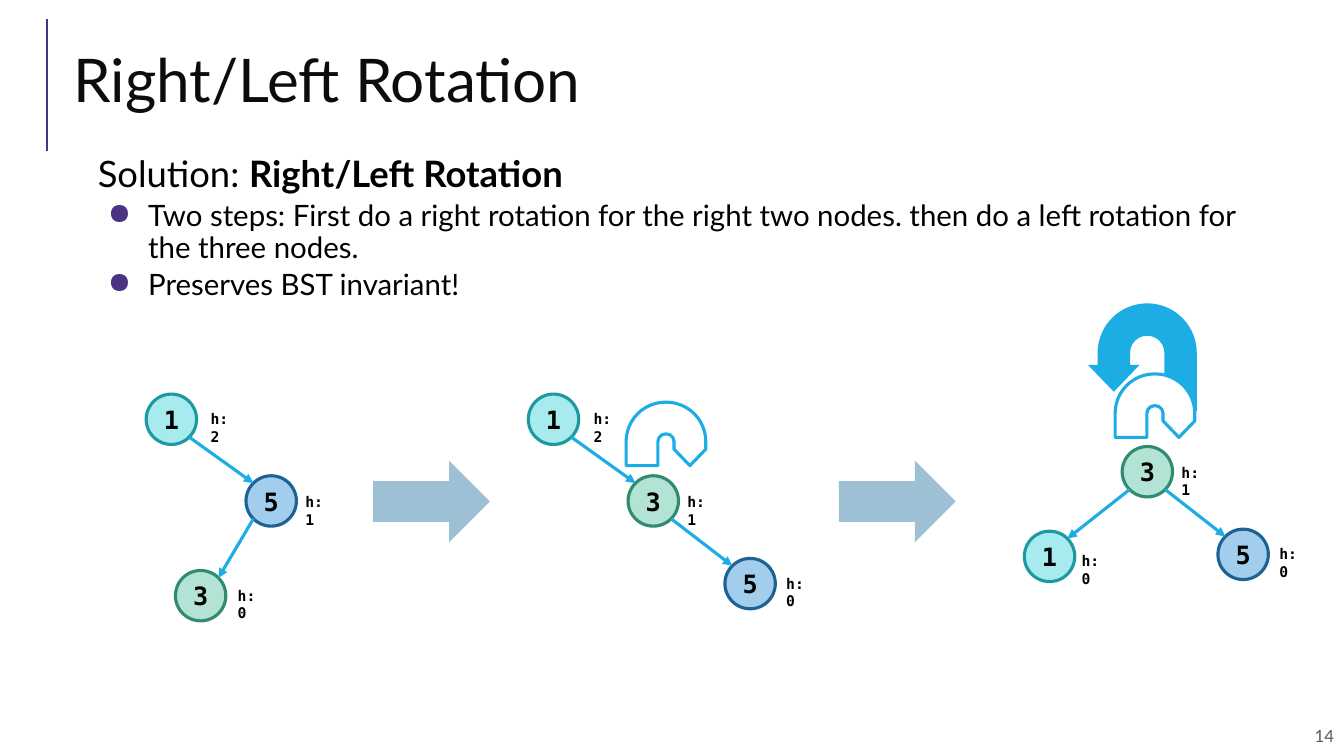
"""Build the Right/Left Rotation slide for a binary search tree."""
import pptx
import pptx.dml.color
import pptx.enum.shapes
import pptx.enum.text
import pptx.oxml.ns
import pptx.oxml.xmlchemy
import pptx.util
from pptx.util import Inches

SHAPE = pptx.enum.shapes.MSO_SHAPE
ALIGN = pptx.enum.text.PP_ALIGN
ANCHOR = pptx.enum.text.MSO_ANCHOR
AUTOSIZE = pptx.enum.text.MSO_AUTO_SIZE
SANS, MONO = "Lato", "DejaVu Sans Mono"
PURPLE, BLUE, STEEL, WHITE, BLACK = "4C3282", "1CADE4", "9EC0D5", "FFFFFF", "000000"

TITLE = "Right/Left Rotation"
LEAD = [("Solution: ", False), ("Right/Left Rotation", True)]
POINTS = [
    "Two steps: First do a right rotation for the right two nodes. then do a left rotation for the three nodes.",
    "Preserves BST invariant!",
]
PAGE = "14"
DIAMETER = 0.5
NODE_COLORS = {"1": ("A7EBEF", "1D9AA1"), "3": ("B2E3D5", "318B71"), "5": ("A2CDED", "1C6294")}

# Each node: left, top, height label, label left, label top
TREES = [
    {"nodes": {"1": (1.45, 3.91, "h:2", 1.99, 4.02),
               "5": (2.44, 4.72, "h:1", 2.93, 4.84),
               "3": (1.74, 5.66, "h:0", 2.26, 5.77)},
     "edges": ["15", "53"]},
    {"nodes": {"1": (5.24, 3.91, "h:2", 5.79, 4.02),
               "3": (6.23, 4.72, "h:1", 6.72, 4.84),
               "5": (7.19, 5.54, "h:0", 7.7, 5.65)},
     "edges": ["13", "35"]},
    {"nodes": {"3": (11.13, 4.43, "h:1", 11.62, 4.55),
               "1": (10.16, 5.27, "h:0", 10.63, 5.43),
               "5": (12.08, 5.25, "h:0", 12.59, 5.36)},
     "edges": ["31", "35"]},
]
STEP_ARROWS = [3.7, 8.32]
LEFT_TURN = (10.79, 3.01, 1.08, 1.07)
LEFT_TURN_BEND = (0.3, 0.24, 0.25, 0.48, 0.82)
RIGHT_TURNS = [(11.06, 3.71, 0.79, 0.63), (6.21, 3.99, 0.79, 0.63)]
RIGHT_TURN_BEND = (0.5, 0.25, 0.26, 0.62, 1)


def rgb(value):
    return pptx.dml.color.RGBColor.from_string(value)


def assign(target, values):
    for name, value in values.items():
        setattr(target, name, value)


def make_element(tag, **attributes):
    element = pptx.oxml.xmlchemy.OxmlElement(tag)
    for name, value in attributes.items():
        element.set(name, value)
    return element


def style_font(font, size, face, color=BLACK, bold=False):
    assign(font, {"size": pptx.util.Pt(size), "name": face, "bold": bold})
    font.color.rgb = rgb(color)


def style_frame(frame, insets, anchor=ANCHOR.TOP):
    across, down = map(Inches, insets)
    assign(frame, {"margin_left": across, "margin_right": across, "margin_top": down,
                   "margin_bottom": down, "vertical_anchor": anchor,
                   "word_wrap": True, "auto_size": AUTOSIZE.NONE})


def add_text(slide, box, insets, anchor=ANCHOR.TOP):
    frame = slide.shapes.add_textbox(*map(Inches, box)).text_frame
    style_frame(frame, insets, anchor)
    return frame


def add_preset(slide, preset, box, fill, outline=None, bend=()):
    shape = slide.shapes.add_shape(preset, *map(Inches, box))
    shape.shadow.inherit = False
    shape.fill.solid()
    shape.fill.fore_color.rgb = rgb(fill)
    if outline:
        shape.line.color.rgb = rgb(outline)
        shape.line.width = pptx.util.Pt(2.25)
    else:
        shape.line.fill.background()
    for index, value in enumerate(bend):
        shape.adjustments[index] = value
    return shape


def add_line(slide, start, end, color, width, arrow=False):
    line = slide.shapes.add_connector(
        pptx.enum.shapes.MSO_CONNECTOR.STRAIGHT, *map(Inches, (*start, *end)))
    line.line.color.rgb = rgb(color)
    line.line.width = pptx.util.Pt(width)
    properties = line._element.spPr
    if arrow:
        outline = properties.find(pptx.oxml.ns.qn("a:ln"))
        outline.append(make_element("a:tailEnd", type="triangle"))
    properties.append(make_element("a:effectLst"))


def add_bullet(paragraph):
    properties = paragraph._p.get_or_add_pPr()
    properties.set("marL", str(Inches(0.5)))
    properties.set("indent", str(Inches(-0.4)))
    bullet_color = make_element("a:buClr")
    bullet_color.append(make_element("a:srgbClr", val=PURPLE))
    properties.extend([bullet_color, make_element("a:buChar", char="●")])


def add_heading(slide):
    title = slide.shapes.title
    assign(title, {"left": Inches(0.63), "top": Inches(0.29),
                   "width": Inches(12.23), "height": Inches(1.11)})
    title.text_frame.text = TITLE
    style_frame(title.text_frame, (0.1, 0.05), ANCHOR.MIDDLE)
    heading = title.text_frame.paragraphs[0]
    assign(heading, {"alignment": ALIGN.LEFT, "line_spacing": 0.8})
    style_font(heading.runs[0].font, 43, SANS, "0C0C0C")
    add_line(slide, (0.47, 1.5), (0.47, 0.19), PURPLE, 1.5)


def add_body(slide):
    frame = add_text(slide, (0.92, 1.5, 11.5, 1.72), (0.05, 0.05))
    lead = frame.paragraphs[0]
    lead.line_spacing = 0.9
    for words, bold in LEAD:
        run = lead.add_run()
        run.text = words
        style_font(run.font, 26, SANS, bold=bold)
    for point in POINTS:
        paragraph = frame.add_paragraph()
        assign(paragraph, {"text": point, "line_spacing": 0.9, "space_before": pptx.util.Pt(4)})
        add_bullet(paragraph)
        style_font(paragraph.runs[0].font, 21, SANS)


def add_tree(slide, nodes, edges):
    radius = DIAMETER / 2
    reach = radius * 0.5 ** 0.5
    for key, (left, top, height, label_left, label_top) in nodes.items():
        node = add_preset(slide, SHAPE.OVAL, (left, top, DIAMETER, DIAMETER), *NODE_COLORS[key])
        style_frame(node.text_frame, (0, 0), ANCHOR.MIDDLE)
        label = add_text(slide, (label_left, label_top, 0.44, 0.28), (0.1, 0.05))
        for frame, words, size, align in ((node.text_frame, key, 18, ALIGN.CENTER),
                                          (label, height, 10.5, ALIGN.LEFT)):
            frame.text = words
            frame.paragraphs[0].alignment = align
            style_font(frame.paragraphs[0].runs[0].font, size, MONO, bold=True)
    for parent, child in edges:
        (x1, y1), (x2, y2) = (
            (nodes[key][0] + radius, nodes[key][1] + radius) for key in (parent, child))
        side = reach if x2 > x1 else -reach
        add_line(slide, (x1 + side, y1 + reach), (x2 - side, y2 - reach), BLUE, 2.25, True)


def main():
    deck = pptx.Presentation()
    assign(deck, {"slide_width": Inches(13.33), "slide_height": Inches(7.5)})
    slide = deck.slides.add_slide(deck.slide_layouts[5])
    add_heading(slide)
    add_body(slide)
    for tree in TREES:
        add_tree(slide, **tree)
    for left in STEP_ARROWS:
        add_preset(slide, SHAPE.RIGHT_ARROW, (left, 4.57, 1.16, 0.81), STEEL, bend=(0.5, 0.5))
    left_turn = add_preset(slide, SHAPE.U_TURN_ARROW, LEFT_TURN, BLUE, bend=LEFT_TURN_BEND)
    left_turn._element.spPr.find(pptx.oxml.ns.qn("a:xfrm")).set("flipH", "1")
    for box in RIGHT_TURNS:
        add_preset(slide, SHAPE.U_TURN_ARROW, box, WHITE, BLUE, RIGHT_TURN_BEND)
    page = add_text(slide, (8.65, 7.1, 4.68, 0.4), (0.1, 0.1), ANCHOR.MIDDLE)
    page.text = PAGE
    page.paragraphs[0].alignment = ALIGN.RIGHT
    style_font(page.paragraphs[0].runs[0].font, 12, SANS, "595959")
    deck.save("out.pptx")


if __name__ == "__main__":
    main()
